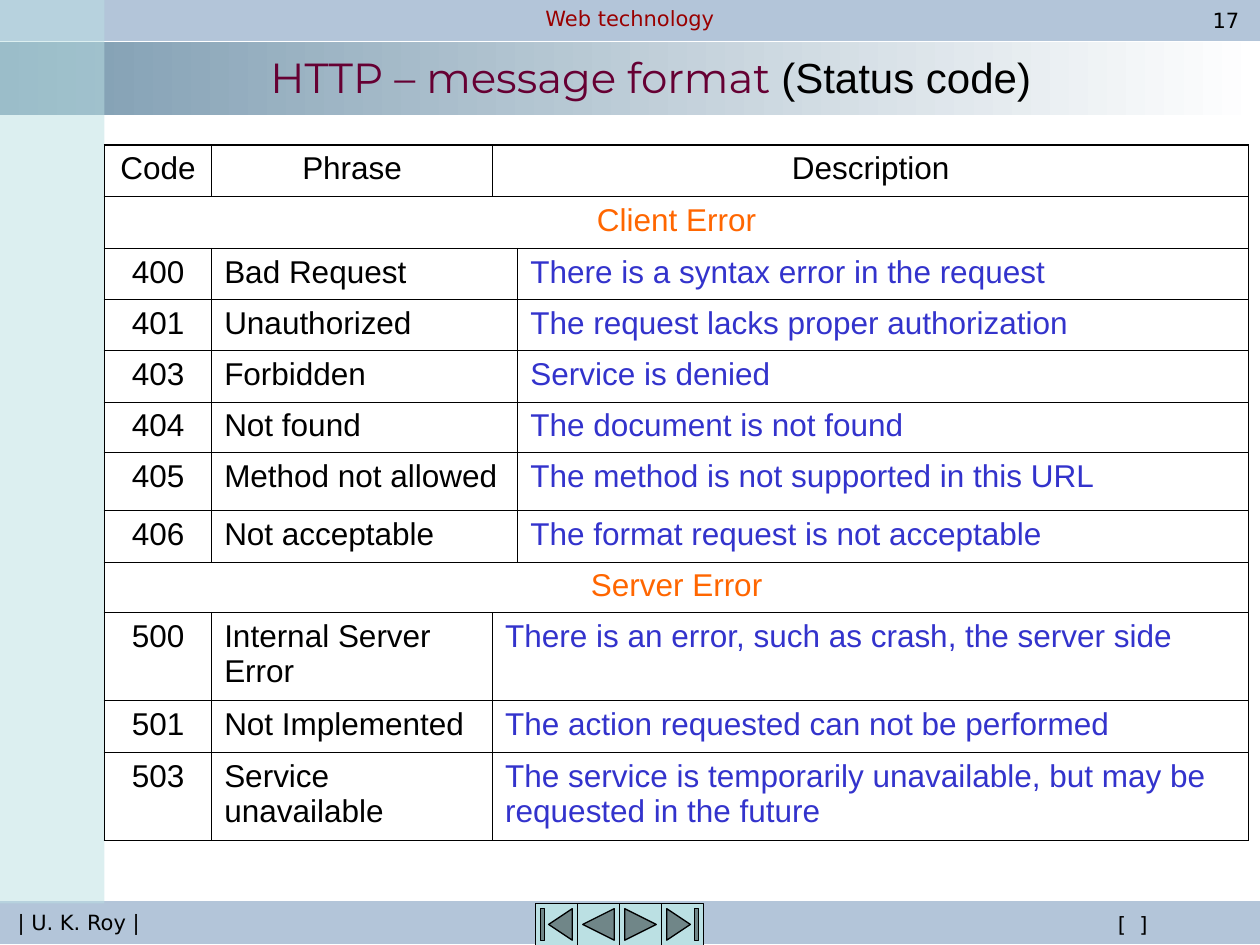
import dataclasses

import lxml.etree
import pptx
import pptx.dml.color
import pptx.enum.shapes
import pptx.enum.text
import pptx.oxml
import pptx.oxml.ns
import pptx.util

Inches, Pt = pptx.util.Inches, pptx.util.Pt
SHAPE = pptx.enum.shapes.MSO_SHAPE
ALIGN = pptx.enum.text.PP_ALIGN
ANCHOR = pptx.enum.text.MSO_ANCHOR
rgb = pptx.dml.color.RGBColor.from_string


@dataclasses.dataclass(frozen=True)
class Theme:
    black: str = "000000"
    white: str = "FFFFFF"
    bar: str = "B3C5D9"
    band: str = "7C9BB0"
    aqua: str = "BBE0E3"
    course: str = "990000"
    title: str = "660033"
    section: str = "FF6600"
    description: str = "3333CC"
    shadow: str = "808080"
    body_font: str = "Arial"
    title_font: str = "Montserrat"
    footer_font: str = "DejaVu Sans"
    footer_size: int = 12
    body_size: int = 18
    title_size: int = 24
    outer_border: float = 1.08
    inner_border: float = 0.45


theme = Theme()

SHADOW_XML = (
    f'<a:effectLst {pptx.oxml.ns.nsdecls("a")}>'
    f'<a:outerShdw blurRad="0" dist="{Pt(2)}" dir="2700000" algn="tl">'
    f'<a:srgbClr val="{theme.shadow}"/></a:outerShdw></a:effectLst>'
)


def write(frame, runs, size, align, **frame_format):
    """Fill a text frame or cell text with (text, font, colour) runs."""
    for attribute, value in frame_format.items():
        setattr(frame, attribute, value)
    paragraph = frame.paragraphs[0]
    paragraph.alignment = align
    for text, font_name, colour in runs:
        run = paragraph.add_run()
        run.text = text
        run_format = {"name": font_name, "size": Pt(size), "bold": False}
        for attribute, value in run_format.items():
            setattr(run.font, attribute, value)
        run.font.color.rgb = rgb(colour)


def draw(kind, left, top, width, height, fill, line=None):
    """Add a preset shape without shadow."""
    shape = slide.shapes.add_shape(
        kind, Inches(left), Inches(top), Inches(width), Inches(height))
    shape.shadow.inherit = False
    shape.fill.solid()
    shape.fill.fore_color.rgb = rgb(fill)
    if line:
        shape.line.color.rgb = rgb(line)
        shape.line.width = Pt(0.75)
    else:
        shape.line.fill.background()
    return shape


deck = pptx.Presentation()
deck.slide_width, deck.slide_height = Inches(10), Inches(7.5)
slide = deck.slides.add_slide(deck.slide_layouts[6])

# Title band and the bars at top and bottom
title_band = draw(SHAPE.RECTANGLE, 0, 0.33, 10, 0.58, theme.band)
title_band.fill.gradient()
title_band.fill.gradient_angle = 0
for stop, colour in zip(title_band.fill.gradient_stops, (theme.band, theme.white)):
    stop.color.rgb = rgb(colour)
draw(SHAPE.RECTANGLE, 0, 0, 10, 0.32, theme.bar, theme.bar)
draw(SHAPE.RECTANGLE, 0, 7.16, 10, 0.33, theme.bar, theme.bar)

# Navigation buttons
button_side = 1 / 3
for place, kind in enumerate((
    SHAPE.ACTION_BUTTON_BEGINNING,
    SHAPE.ACTION_BUTTON_BACK_OR_PREVIOUS,
    SHAPE.ACTION_BUTTON_FORWARD_OR_NEXT,
    SHAPE.ACTION_BUTTON_END,
)):
    draw(kind, 4.25 + place * button_side, 7.17, button_side, button_side,
         theme.aqua, theme.black)

# Translucent strip on the left
left_strip = draw(SHAPE.RECTANGLE, 0, 0, 0.83, 7.17, theme.aqua)
strip_colour = left_strip.fill._xPr.find(".//" + pptx.oxml.ns.qn("a:srgbClr"))
lxml.etree.SubElement(strip_colour, pptx.oxml.ns.qn("a:alpha"), val="50000")

# Header, footer and title texts: left, top, width, height, size, shadow, runs
labels = [
    (3.5, -0.02, 3, 0.32, theme.footer_size, False,
     [("Web technology", theme.footer_font, theme.course)]),
    (0, 7.16, 1.25, 0.32, theme.footer_size, False,
     [("| U. K. Roy |", theme.footer_font, theme.black)]),
    (8, 7.17, 1.98, 0.32, theme.footer_size, True,
     [("[  ]", theme.footer_font, theme.black)]),
    (9.48, 0, 0.5, 0.32, theme.footer_size, False,
     [("17", theme.footer_font, theme.black)]),
    (0.83, 0.13, 8.67, 0.95, theme.title_size, True,
     [("HTTP – message format ", theme.title_font, theme.title),
      ("(Status code)", theme.body_font, theme.black)]),
]
for left, top, width, height, size, shadowed, runs in labels:
    label = slide.shapes.add_textbox(
        Inches(left), Inches(top), Inches(width), Inches(height))
    write(label.text_frame, runs, size, ALIGN.CENTER, word_wrap=True,
          vertical_anchor=ANCHOR.MIDDLE, margin_left=0, margin_right=0,
          margin_top=0, margin_bottom=0)
    if shadowed:
        for run in label.text_frame.paragraphs[0].runs:
            fill = run.font._element.find(pptx.oxml.ns.qn("a:solidFill"))
            fill.addnext(pptx.oxml.parse_xml(SHADOW_XML))

# Status code table: row height, column spans, texts
SECTION, HEADER_OR_SERVER, CLIENT = (4,), (1, 1, 2), (1, 2, 1)
rows = [
    (0.41, HEADER_OR_SERVER, ["Code", "Phrase", "Description"]),
    (0.41, SECTION, ["Client Error"]),
    (0.41, CLIENT, ["400", "Bad Request", "There is a syntax error in the request"]),
    (0.4, CLIENT, ["401", "Unauthorized", "The request lacks proper authorization"]),
    (0.41, CLIENT, ["403", "Forbidden", "Service is denied"]),
    (0.4, CLIENT, ["404", "Not found", "The document is not found"]),
    (0.46, CLIENT, ["405", "Method not allowed",
                    "The method is not supported in this URL"]),
    (0.41, CLIENT, ["406", "Not acceptable", "The format request is not acceptable"]),
    (0.4, SECTION, ["Server Error"]),
    (0.7, HEADER_OR_SERVER, ["500", "Internal Server Error",
                             "There is an error, such as crash, the server side"]),
    (0.41, HEADER_OR_SERVER, ["501", "Not Implemented",
                              "The action requested can not be performed"]),
    (0.7, HEADER_OR_SERVER, ["503", "Service unavailable",
                             "The service is temporarily unavailable, "
                             "but may be requested in the future"]),
]
column_widths = [0.85, 2.23, 0.2, 5.8]
codes = slide.shapes.add_table(
    len(rows), len(column_widths), Inches(0.83), Inches(1.15),
    Inches(sum(column_widths)), Inches(sum(row[0] for row in rows))).table
codes.first_row = codes.horz_banding = False
for column, width in zip(codes.columns, column_widths):
    column.width = Inches(width)

for row_index, (height, spans, texts) in enumerate(rows):
    codes.rows[row_index].height = Inches(height)
    first = 0
    for place, (span, text) in enumerate(zip(spans, texts)):
        after = first + span
        cell = codes.cell(row_index, first)
        if span > 1:
            cell.merge(codes.cell(row_index, after - 1))

        # Heavy lines run along the outside of the table
        outside = {
            "L": first == 0,
            "R": after == len(column_widths),
            "T": row_index == 0,
            "B": row_index == len(rows) - 1,
        }
        for column_index in range(first, after):
            part = codes.cell(row_index, column_index)
            properties = part._tc.get_or_add_tcPr()
            for side, is_outer in outside.items():
                border = theme.outer_border if is_outer else theme.inner_border
                properties.append(pptx.oxml.parse_xml(
                    f'<a:ln{side} {pptx.oxml.ns.nsdecls("a")} w="{Pt(border)}">'
                    f'<a:solidFill><a:srgbClr val="{theme.black}"/></a:solidFill>'
                    f'</a:ln{side}>'))
            part.fill.background()

        colour = theme.black
        if spans == SECTION:
            colour = theme.section
        elif row_index and place == 2:
            colour = theme.description
        centred = row_index == 0 or place == 0
        write(cell.text_frame, [(text, theme.body_font, colour)], theme.body_size,
              ALIGN.CENTER if centred else ALIGN.LEFT)
        first = after

deck.save("out.pptx")
